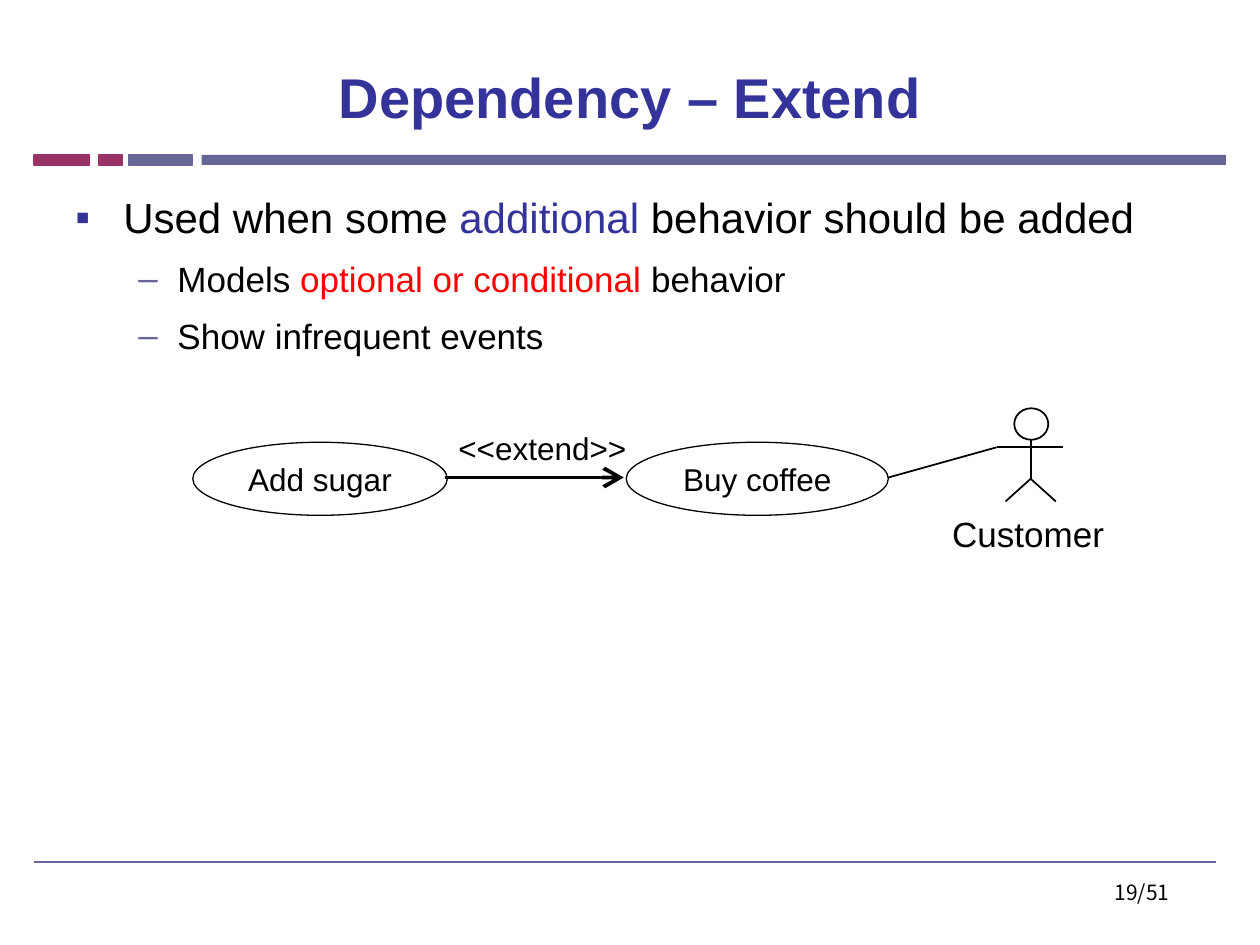
"""Build the slide about the extend dependency between use cases."""
from dataclasses import dataclass
from typing import Optional

from lxml.etree import SubElement
from pptx import Presentation
from pptx.dml.color import RGBColor
from pptx.enum.shapes import MSO_CONNECTOR, MSO_SHAPE
from pptx.enum.text import MSO_ANCHOR, MSO_AUTO_SIZE, PP_ALIGN
from pptx.oxml.ns import qn
from pptx.util import Inches, Pt

COLORS = {
    "ink": "000000",
    "navy": "333399",
    "slate": "666699",
    "plum": "993366",
    "red": "FF0000",
}


@dataclass(frozen=True)
class Area:
    left: float
    top: float
    width: float
    height: float

    def lengths(self) -> list:
        return [Inches(side) for side in (self.left, self.top, self.width, self.height)]


@dataclass(frozen=True)
class Span:
    text: str
    color: str = "ink"


@dataclass(frozen=True)
class Style:
    size: float
    font: str = "Arial"
    bold: bool = False
    align: PP_ALIGN = PP_ALIGN.CENTER


@dataclass(frozen=True)
class Bullet:
    mark: str
    color: str
    level: int
    margin: float
    hang: float
    size: float
    spans: tuple


@dataclass(frozen=True)
class Bar:
    left: float
    width: float
    color: str
    outlined: bool = True


@dataclass(frozen=True)
class Stroke:
    start: tuple
    end: tuple
    color: str = "ink"
    width: float = 1
    arrow: bool = False


BARS = (
    Bar(1.6, 8.13, "slate", outlined=False),
    Bar(0.27, 0.44, "plum"),
    Bar(1.02, 0.51, "slate"),
    Bar(0.78, 0.19, "plum"),
)
SQUARE = dict(mark="▪", color="navy", level=0, margin=0.38, hang=0.38, size=24)
DASH = dict(mark="–", color="slate", level=1, margin=0.81, hang=0.31, size=20)
BULLETS = (
    Bullet(**SQUARE, spans=(Span("Used when some"), Span(" additional ", "navy"),
                            Span("behavior should be added"))),
    Bullet(**DASH, spans=(Span("Models "), Span("optional or conditional", "red"),
                          Span(" behavior"))),
    Bullet(**DASH, spans=(Span("Show infrequent events"),)),
)
USE_CASES = (
    ("Add sugar", Area(1.53, 3.51, 2.02, 0.58)),
    ("Buy coffee", Area(4.97, 3.51, 2.08, 0.58)),
)
NECK, HIP = (8.18, 3.49), (8.18, 3.8)
LIMBS = (
    Stroke((7.91, 3.55), (8.44, 3.55)),
    Stroke(NECK, HIP),
    Stroke(HIP, (7.98, 3.98)),
    Stroke(HIP, (8.38, 3.98)),
)
LINKS = (
    Stroke((7.05, 3.79), (7.91, 3.55)),
    Stroke((3.53, 3.79), (4.95, 3.79), width=2.25, arrow=True),
)


def rgb(name: str) -> RGBColor:
    """Return a named colour."""
    return RGBColor.from_string(COLORS[name])


def add_spans(para, spans: tuple, style: Style) -> None:
    """Add styled runs to a paragraph."""
    para.alignment = style.align
    for span in spans:
        run = para.add_run()
        run.text = span.text
        run.font.name = style.font
        run.font.size = Pt(style.size)
        run.font.bold = style.bold
        run.font.color.rgb = rgb(span.color)


def add_label(page, area: Area, span: Span, style: Style, wrap: bool = True,
              anchor: MSO_ANCHOR = MSO_ANCHOR.TOP, insets: tuple = (0.1, 0.1)) -> None:
    """Add a text box holding one span."""
    frame = page.shapes.add_textbox(*area.lengths()).text_frame
    frame.word_wrap = wrap
    frame.auto_size = MSO_AUTO_SIZE.NONE if wrap else MSO_AUTO_SIZE.SHAPE_TO_FIT_TEXT
    frame.vertical_anchor = anchor
    frame.margin_left, frame.margin_right = [Inches(inset) for inset in insets]
    add_spans(frame.paragraphs[0], (span,), style)


def add_figure(shapes, kind: MSO_SHAPE, area: Area, fill: Optional[str] = None,
               line: Optional[str] = None, width: float = 0.75):
    """Add a preset shape with an optional fill and outline."""
    shape = shapes.add_shape(kind, *area.lengths())
    shape.shadow.inherit = False
    if fill:
        shape.fill.solid()
        shape.fill.fore_color.rgb = rgb(fill)
    else:
        shape.fill.background()
    if line:
        shape.line.color.rgb = rgb(line)
        shape.line.width = Pt(width)
    else:
        shape.line.fill.background()
    return shape


def add_stroke(shapes, stroke: Stroke) -> None:
    """Add a straight connector, with an arrowhead if asked for."""
    points = [Inches(value) for value in stroke.start + stroke.end]
    connector = shapes.add_connector(MSO_CONNECTOR.STRAIGHT, *points)
    connector.line.color.rgb = rgb(stroke.color)
    connector.line.width = Pt(stroke.width)
    if stroke.arrow:
        outline = connector._element.spPr.find(qn("a:ln"))
        SubElement(outline, qn("a:tailEnd"), type="arrow", w="lg", len="lg")
    SubElement(connector._element.spPr, qn("a:effectLst"))


def add_bullets(page, area: Area) -> None:
    """Add the bulleted body text."""
    frame = page.shapes.add_textbox(*area.lengths()).text_frame
    frame.word_wrap = True
    for index, bullet in enumerate(BULLETS):
        para = frame.add_paragraph() if index else frame.paragraphs[0]
        para.level = bullet.level
        para.line_spacing = 1.2
        para.space_before = Pt(bullet.size * 0.2)
        add_spans(para, bullet.spans, Style(bullet.size, align=PP_ALIGN.LEFT))
        properties = para._p.get_or_add_pPr()
        properties.set("marL", str(Inches(bullet.margin)))
        properties.set("indent", str(-Inches(bullet.hang)))
        color = SubElement(properties, qn("a:buClr"))
        SubElement(color, qn("a:srgbClr"), val=COLORS[bullet.color])
        SubElement(properties, qn("a:buFont"), typeface="Arial")
        SubElement(properties, qn("a:buChar"), char=bullet.mark)


def main() -> None:
    """Draw the slide and save it."""
    deck = Presentation()
    deck.slide_width, deck.slide_height = Inches(10), Inches(7.5)
    page = deck.slides.add_slide(deck.slide_layouts[6])
    for bar in BARS:
        add_figure(page.shapes, MSO_SHAPE.RECTANGLE, Area(bar.left, 1.23, bar.width, 0.08),
                   bar.color, bar.color if bar.outlined else None)
    add_stroke(page.shapes, Stroke((0.27, 6.84), (9.65, 6.84), "slate"))
    add_label(page, Area(7.05, 6.93, 2.33, 0.52), Span("19/51"),
              Style(12, "Noto Sans CJK KR", align=PP_ALIGN.RIGHT))
    add_label(page, Area(0.5, 0.3, 9, 0.93), Span("Dependency – Extend", "navy"),
              Style(32, bold=True), anchor=MSO_ANCHOR.MIDDLE)
    for name, area in USE_CASES:
        frame = add_figure(page.shapes, MSO_SHAPE.OVAL, area, line="ink").text_frame
        frame.word_wrap = False
        frame.vertical_anchor = MSO_ANCHOR.MIDDLE
        add_spans(frame.paragraphs[0], (Span(name),), Style(18))
    add_label(page, Area(3.54, 3.36, 1.53, 0.4), Span("<<extend>>"), Style(18),
              wrap=False, insets=(0.05, 0.05))
    add_bullets(page, Area(0.5, 1.39, 8.99, 2.84))
    actor = page.shapes.add_group_shape()
    add_figure(actor.shapes, MSO_SHAPE.OVAL, Area(8.05, 3.24, 0.27, 0.25), line="ink", width=1)
    for limb in LIMBS:
        add_stroke(actor.shapes, limb)
    add_label(page, Area(7.51, 4.02, 1.4, 0.43), Span("Customer"), Style(20), insets=(0, 0.1))
    for link in LINKS:
        add_stroke(page.shapes, link)
    deck.save("out.pptx")


if __name__ == "__main__":
    main()
